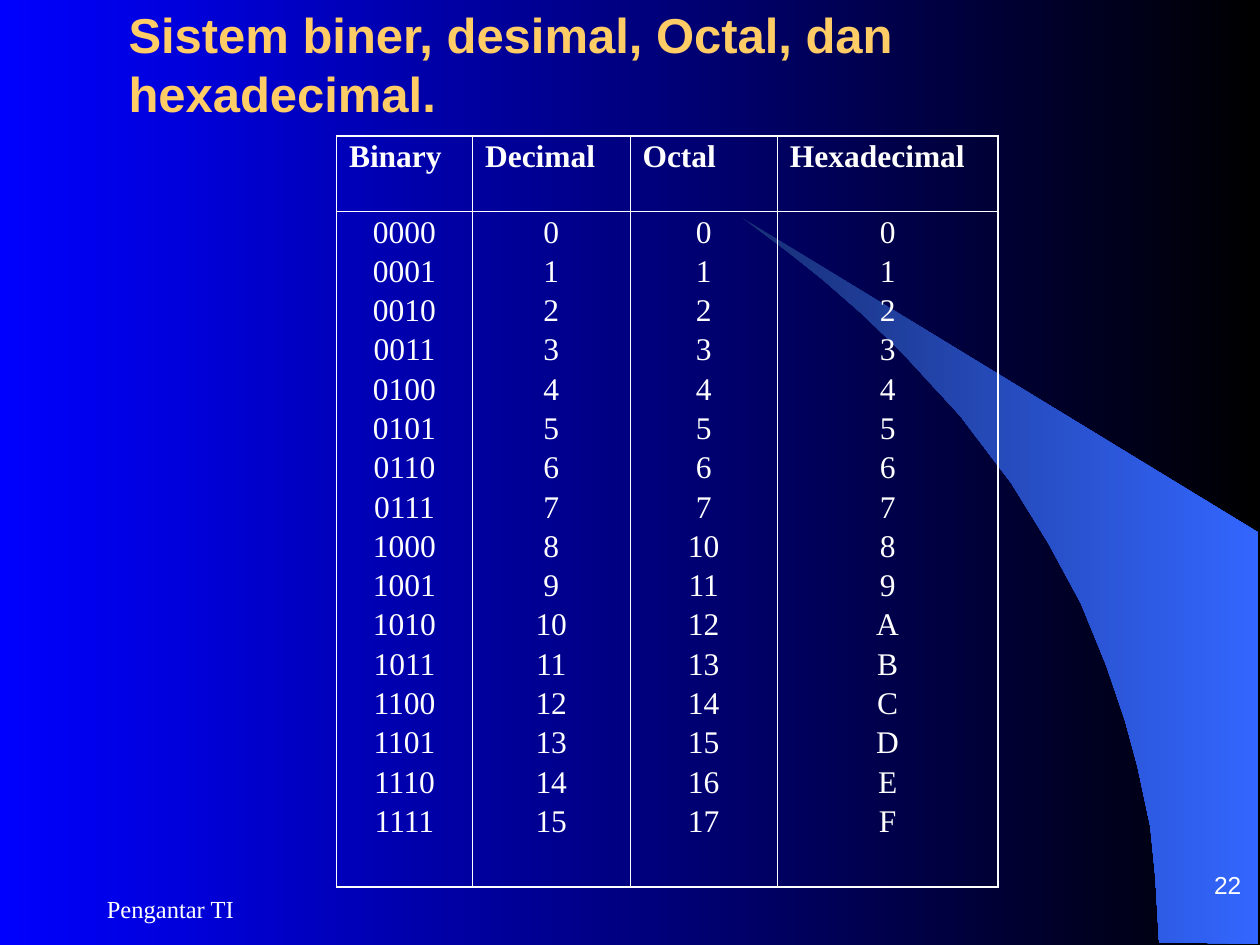
from lxml import etree
from pptx import Presentation
from pptx.dml.color import RGBColor
from pptx.enum.text import MSO_ANCHOR, MSO_AUTO_SIZE, PP_ALIGN
from pptx.oxml.ns import qn
from pptx.util import Inches, Pt

LEFT, CENTER, RIGHT = PP_ALIGN.LEFT, PP_ALIGN.CENTER, PP_ALIGN.RIGHT
TOP, MIDDLE, BOTTOM = MSO_ANCHOR.TOP, MSO_ANCHOR.MIDDLE, MSO_ANCHOR.BOTTOM
NO_AUTOFIT = MSO_AUTO_SIZE.NONE

BLUE = RGBColor(0x00, 0x00, 0xFF)
BLACK = RGBColor(0x00, 0x00, 0x00)
NAVY = RGBColor(0x18, 0x2F, 0x76)
SKY = RGBColor(0x33, 0x66, 0xFF)
GOLD = RGBColor(0xFF, 0xCC, 0x66)
WHITE = RGBColor(0xFF, 0xFF, 0xFF)
SANS, SERIF = "Arial", "Times New Roman"

SWOOSH = [(9.2, 7.48), (9.99, 7.49), (9.99, 4.23), (5.89, 1.73), (6.24, 1.99),
          (6.53, 2.22), (6.85, 2.5), (7.16, 2.8), (7.62, 3.3), (8.03, 3.84),
          (8.32, 4.31), (8.58, 4.79), (8.78, 5.28), (8.93, 5.72),
          (9.03, 6.09), (9.13, 6.56), (9.17, 6.96)]
NUMBER_FORMATS = {"Binary": "04b", "Decimal": "d", "Octal": "o", "Hexadecimal": "X"}
COL_WIDTHS = [1.08, 1.25, 1.17, 1.75]
ROW_HEIGHTS = [0.6, 5.36]
OUTER, INNER = 1.08, 0.45


def write(tf, lines, size=18, font=SERIF, color=WHITE, bold=False, align=LEFT,
          line_spacing=None, space_before=0):
    """Fill a text frame with one paragraph per line."""
    for i, line in enumerate(lines):
        p = tf.paragraphs[0] if i == 0 else tf.add_paragraph()
        p.alignment = align
        p.line_spacing = line_spacing
        p.space_before = Pt(space_before if i else 0)
        r = p.add_run()
        r.text = line
        r.font.name, r.font.size, r.font.bold = font, Pt(size), bold
        r.font.color.rgb = color


def horizontal_gradient(fill, start, end):
    fill.gradient()
    fill.gradient_angle = 0
    for stop, color, position in zip(fill.gradient_stops, (start, end), (0, 1)):
        stop.color.rgb = color
        stop.position = position


def set_borders(cell, widths):
    """Draw white cell borders; widths are points for left, right, top, bottom."""
    tcPr = cell._tc.get_or_add_tcPr()
    for i, (side, width) in enumerate(zip("LRTB", widths)):
        ln = etree.Element(qn(f"a:ln{side}"), w=str(Pt(width)))
        fill = etree.SubElement(ln, qn("a:solidFill"))
        etree.SubElement(fill, qn("a:srgbClr"), val=str(WHITE))
        tcPr.insert(i, ln)


class SlideBuilder:
    def __init__(self, prs):
        self.s = prs.slides.add_slide(prs.slide_layouts[5])

    def background(self, start, end):
        horizontal_gradient(self.s.background.fill, start, end)

    def swoosh(self, points, start, end):
        pts = [(Inches(x), Inches(y)) for x, y in points]
        builder = self.s.shapes.build_freeform(*pts[0])
        builder.add_line_segments(pts[1:], close=True)
        sp = builder.convert_to_shape()
        sp.shadow.inherit = False
        horizontal_gradient(sp.fill, start, end)
        sp.line.fill.background()

    def title(self, text, x, y, w, h):
        sp = self.s.shapes.title
        sp.left, sp.top, sp.width, sp.height = map(Inches, (x, y, w, h))
        tf = sp.text_frame
        tf.word_wrap, tf.auto_size, tf.vertical_anchor = True, NO_AUTOFIT, MIDDLE
        write(tf, [text], size=28, font=SANS, color=GOLD, bold=True)

    def text(self, text, x, y, w, h, anchor=MIDDLE, margin=0.05, **fmt):
        tf = self.s.shapes.add_textbox(*map(Inches, (x, y, w, h))).text_frame
        tf.word_wrap, tf.vertical_anchor = True, anchor
        tf.margin_top = tf.margin_bottom = Inches(margin)
        write(tf, [text], size=14, **fmt)

    def table(self, rows, x, y, col_widths, row_heights):
        """Build a table whose cells are lists of lines, the first row a header."""
        n_rows, n_cols = len(row_heights), len(col_widths)
        size = map(Inches, (x, y, sum(col_widths), sum(row_heights)))
        table = self.s.shapes.add_table(n_rows, n_cols, *size).table
        table.first_row = table.horz_banding = False
        for column, width in zip(table.columns, col_widths):
            column.width = Inches(width)
        for i, height in enumerate(row_heights):
            table.rows[i].height = Inches(height)
            for j, lines in enumerate(rows[i]):
                cell = table.cell(i, j)
                cell.fill.background()
                cell.vertical_anchor = TOP
                at_edge = (j == 0, j == n_cols - 1, i == 0, i == n_rows - 1)
                set_borders(cell, [OUTER if edge else INNER for edge in at_edge])
                write(cell.text_frame, lines, bold=i == 0,
                      align=CENTER if i else LEFT,
                      line_spacing=0.9, space_before=4.5)


def main():
    prs = Presentation()
    prs.slide_width, prs.slide_height = Inches(10), Inches(7.5)
    slide = SlideBuilder(prs)
    slide.background(BLUE, BLACK)
    slide.swoosh(SWOOSH, NAVY, SKY)
    slide.text("Pengantar TI", 0.75, 6.96, 4.67, 0.5)
    slide.text("22", 7.87, 6.72, 2.08, 0.42, anchor=BOTTOM, margin=0,
               font=SANS, align=RIGHT)
    slide.title("Sistem biner, desimal, Octal, dan hexadecimal.",
                0.92, 0.25, 8.58, 0.5)
    headers = [[name] for name in NUMBER_FORMATS]
    numbers = [[format(n, spec) for n in range(16)]
               for spec in NUMBER_FORMATS.values()]
    slide.table([headers, numbers], 2.67, 1.08, COL_WIDTHS, ROW_HEIGHTS)
    prs.save("out.pptx")


if __name__ == "__main__":
    main()
